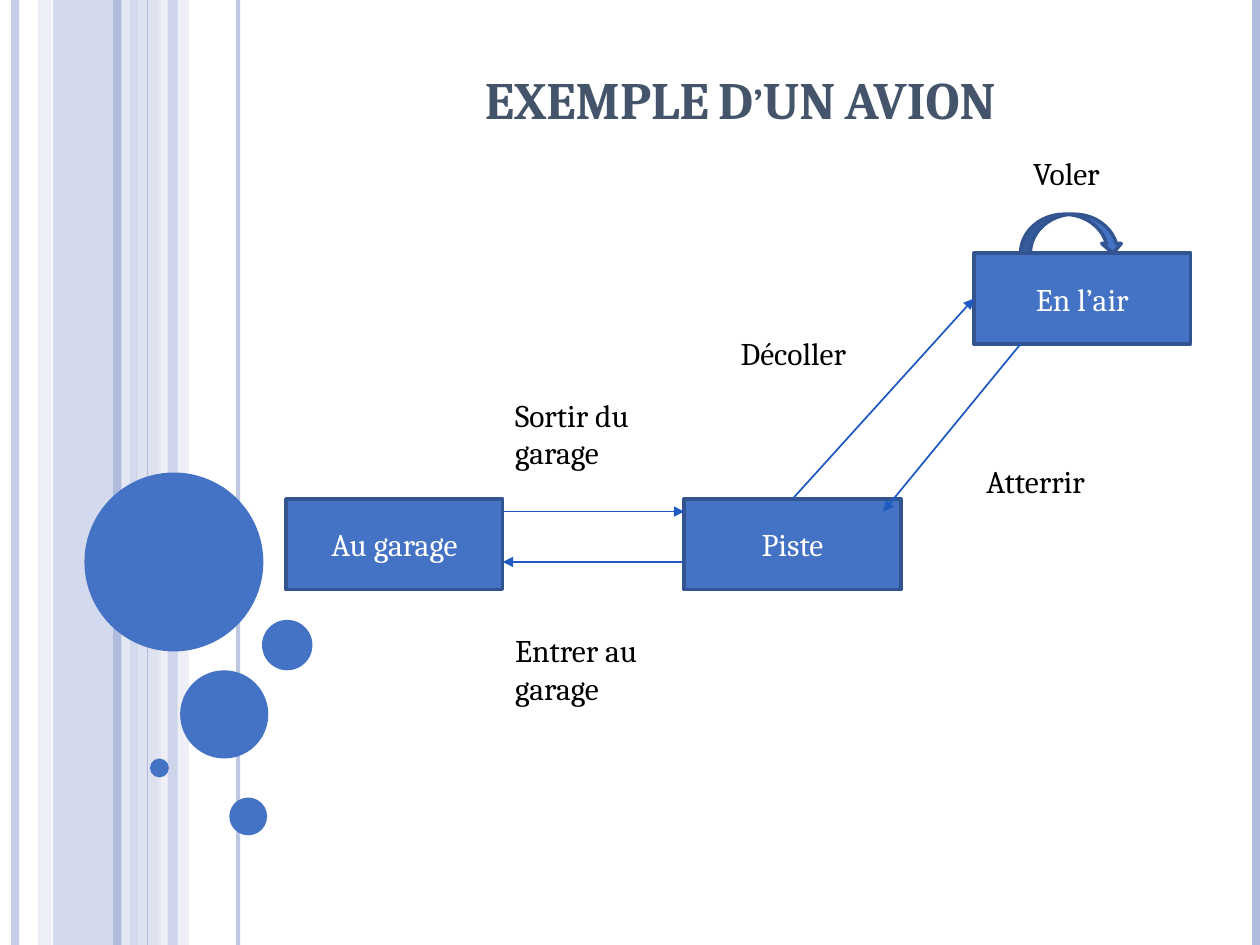
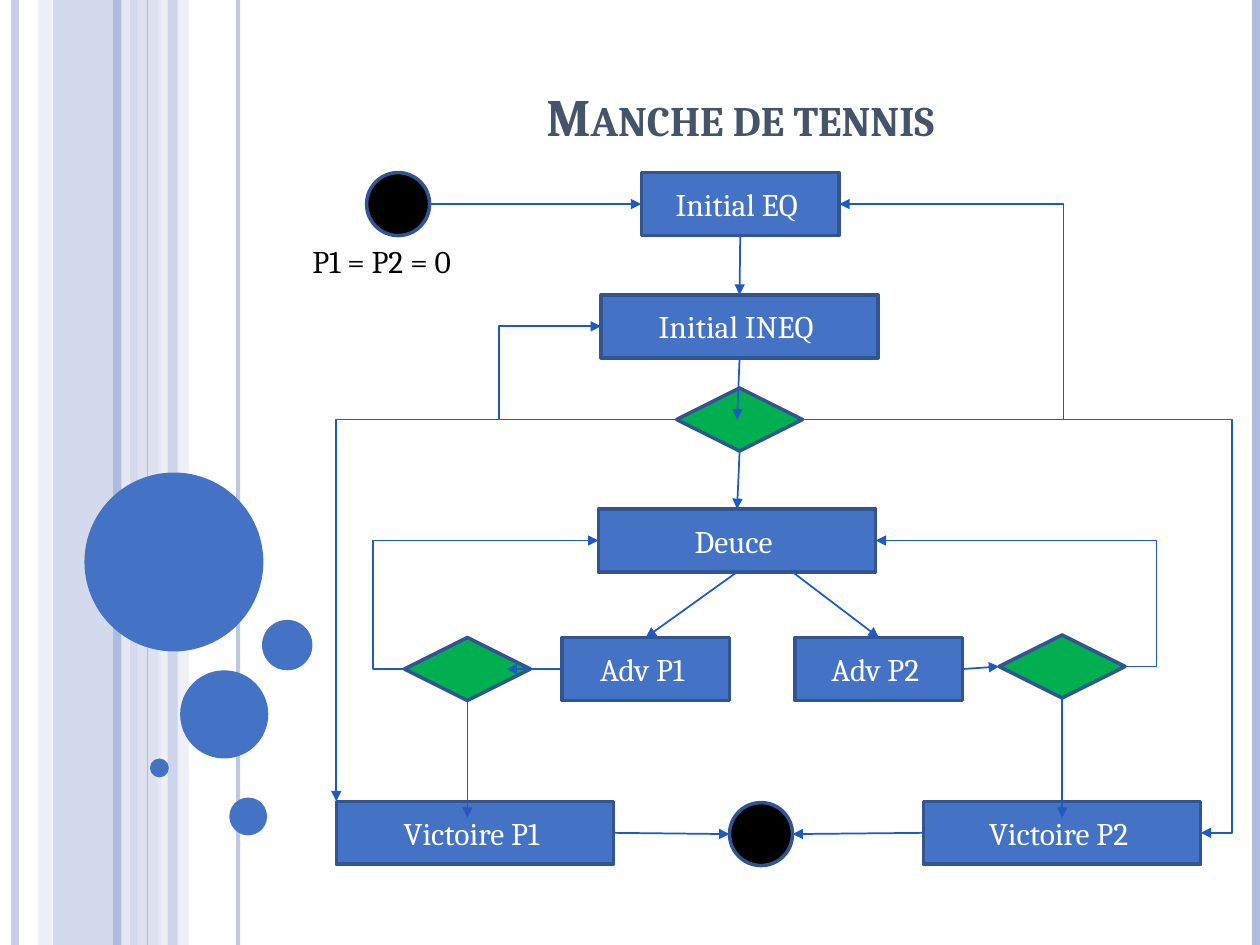
from lxml.etree import SubElement
from pptx import Presentation
from pptx.dml.color import RGBColor
from pptx.enum.shapes import MSO_CONNECTOR as Route, MSO_SHAPE as Kind
from pptx.enum.text import MSO_ANCHOR as Anchor, PP_ALIGN as Align
from pptx.oxml.ns import qn
from pptx.util import Inches, Pt

FONT = "Cambria"
BLUE, EDGE, ARROW = "4472C4", "325491", "1F5AC3"
GREEN, BLACK, WHITE, TITLE = "00B050", "000000", "FFFFFF", "44546A"
STRIPE, PALE, MIST = "B0BCDE", "CFD5EA", "E9EBF5"
TOP, LEFT, BOTTOM, RIGHT = range(4)
hex_color = RGBColor.from_string


def add_node(shapes, kind, box, fill=BLUE, edge=EDGE, label=""):
    node = shapes.add_shape(kind, *map(Inches, box))
    node.shadow.inherit = False
    node.fill.solid()
    node.fill.fore_color.rgb = hex_color(fill)
    if edge:
        node.line.color.rgb = hex_color(edge)
        node.line.width = Pt(2)
    else:
        node.line.fill.background()
    if label:
        node.text_frame.vertical_anchor = Anchor.MIDDLE
        paragraph = node.text_frame.paragraphs[0]
        paragraph.alignment = Align.CENTER
        run = paragraph.add_run()
        run.text = label
        run.font.name, run.font.size = FONT, Pt(18)
        run.font.color.rgb = hex_color(WHITE)
    return node


def add_link(shapes, start, end, bend=None, color=ARROW, width=1, head=True):
    """Join two ends, each a point (x, y) or a side (node, side); bend is the x of the elbow."""
    route = Route.STRAIGHT if bend is None else Route.ELBOW
    link = shapes.add_connector(route, 0, 0, 0, 0)
    if isinstance(start[0], (int, float)):
        link.begin_x, link.begin_y = map(Inches, start)
    else:
        link.begin_connect(*start)
    if isinstance(end[0], (int, float)):
        link.end_x, link.end_y = map(Inches, end)
    else:
        link.end_connect(*end)
    link.line.color.rgb = hex_color(color)
    link.line.width = Pt(width)
    properties = link._element.spPr
    if head:
        SubElement(properties.find(qn("a:ln")), qn("a:tailEnd"), type="triangle")
    SubElement(properties, qn("a:effectLst"))
    if bend is not None:
        geometry = properties.find(qn("a:prstGeom"))
        if Inches(bend) == link.end_x:
            geometry.set("prst", "bentConnector2")
        else:
            ratio = (Inches(bend) - link.begin_x) / (link.end_x - link.begin_x)
            SubElement(geometry.find(qn("a:avLst")), qn("a:gd"),
                       name="adj1", fmla=f"val {round(ratio * 100000)}")
    return link


deck = Presentation()
deck.slide_width, deck.slide_height = Inches(10), Inches(7.5)
title_only = deck.slide_layouts[5]

# Slides and titles
slides = []
for heading, top in [("EXEMPLE D’UN AVION", 0.22), ("Manche de tennis", 0.36)]:
    slide = deck.slides.add_slide(title_only)
    title = slide.shapes.title
    title.left, title.top, title.width, title.height = map(Inches, (2.5, top, 6.75, 0.86))
    title.text_frame.vertical_anchor = Anchor.BOTTOM
    paragraph = title.text_frame.paragraphs[0]
    paragraph.alignment = Align.CENTER
    run = paragraph.add_run()
    run.text = heading
    run.font.name, run.font.size, run.font.bold = FONT, Pt(30), True
    run.font.color.rgb = hex_color(TITLE)
    run._r.get_or_add_rPr().set("cap", "small")
    slides.append(slide)
plane, tennis = (slide.shapes for slide in slides)

# Shared decoration: bands, stripes and bubbles, with opacity in percent
decoration = []
for left, width, color, opacity in [
    (0.42, 0.67, STRIPE, 54), (0.3, 0.11, PALE, 36), (1.08, 0.2, PALE, 70),
    (1.25, 0.25, MIST, 71), (1.33, 0.08, STRIPE, 51),
]:
    band = add_node(plane, Kind.RECTANGLE, (left, 0, width, 7.5), color, None)
    decoration.append((band, opacity))
for x, width, color, opacity in [
    (0.12, 4.5, STRIPE, 73), (1, 4.5, MIST, 83), (0.93, 4.5, STRIPE, 100),
    (1.89, 2.25, STRIPE, 82), (1.17, 0.75, STRIPE, 100), (9.97, 4.5, STRIPE, 100),
]:
    stripe = add_link(plane, (x, 0), (x, 7.5), color=color, width=width, head=False)
    decoration.append((stripe, opacity))
for left, top, size in [
    (0.67, 3.75, 1.42), (1.43, 5.32, 0.7), (1.19, 6.02, 0.15),
    (1.82, 6.33, 0.3), (2.08, 4.92, 0.4),
]:
    bubble = add_node(plane, Kind.OVAL, (left, top, size, size), edge=None)
    decoration.append((bubble, 100))

# Move the decoration to the slide master, behind its placeholders
master_tree = deck.slide_master.shapes._spTree
for index, (part, opacity) in enumerate(decoration):
    element = part._element
    if opacity < 100:
        tint = element.spPr.find(".//" + qn("a:srgbClr"))
        SubElement(tint, qn("a:alpha"), val=str(opacity * 1000))
    element.find(".//" + qn("p:cNvPr")).set("id", str(100 + index))
    master_tree.insert(2 + index, element)

# Plane: states
garage, runway, airborne = [
    add_node(plane, Kind.RECTANGLE, (left, top, 1.72, 0.72), label=label)
    for left, top, label in [
        (2.27, 3.96, "Au garage"), (5.43, 3.96, "Piste"), (7.73, 2.01, "En l’air"),
    ]
]
add_node(plane, Kind.CURVED_DOWN_ARROW, (8.1, 1.7, 0.81, 0.31))

# Plane: transitions
for start, end in [
    ((3.99, 4.06), (5.43, 4.06)),
    ((5.43, 4.46), (3.99, 4.46)),
    ((runway, TOP), (airborne, LEFT)),
    ((8.1, 2.73), (7.01, 4.06)),
]:
    add_link(plane, start, end)

# Tennis: states
equal, unequal, deuce, adv1, adv2, win1, win2 = [
    add_node(tennis, Kind.RECTANGLE, (left, top, width, 0.5), label=label)
    for left, top, width, label in [
        (5.09, 1.37, 1.57, "Initial EQ "), (4.77, 2.34, 2.2, "Initial INEQ "),
        (4.75, 4.04, 2.2, "Deuce "),
        (4.46, 5.06, 1.33, "Adv P1 "), (6.31, 5.06, 1.33, "Adv P2 "),
        (2.67, 6.36, 2.2, "Victoire P1 "), (7.33, 6.36, 2.2, "Victoire P2 "),
    ]
]

# Tennis: start and end points, decisions
for left, top in [(2.91, 1.37), (5.79, 6.37)]:
    add_node(tennis, Kind.FLOWCHART_CONNECTOR, (left, top, 0.5, 0.5), BLACK)
score, check1, check2 = [
    add_node(tennis, Kind.FLOWCHART_DECISION, (left, top, 1, 0.5), GREEN)
    for left, top in [(5.37, 3.08), (3.21, 5.06), (7.93, 5.04)]
]

# Tennis: transitions, the last ones with the x of their elbow
for start, end, bend in [
    ((3.41, 1.62), (equal, LEFT), None),
    ((win1, RIGHT), (5.79, 6.62), None),
    ((win2, LEFT), (6.29, 6.62), None),
    ((equal, BOTTOM), (unequal, TOP), None),
    ((unequal, BOTTOM), (5.85, 3.33), None),
    ((score, BOTTOM), (deuce, TOP), None),
    ((deuce, BOTTOM), (adv1, TOP), None),
    ((6.29, 4.54), (adv2, TOP), None),
    ((adv1, LEFT), (4.02, 5.31), None),
    ((adv2, RIGHT), (check2, LEFT), None),
    ((check1, BOTTOM), (3.71, 6.49), None),
    ((check2, BOTTOM), (8.43, 6.49), None),
    ((score, LEFT), (2.67, 6.36), 2.67),
    ((score, RIGHT), (win2, RIGHT), 9.78),
    ((score, RIGHT), (equal, RIGHT), 8.44),
    ((score, LEFT), (unequal, LEFT), 3.96),
    ((check1, LEFT), (deuce, LEFT), 2.96),
    ((check2, RIGHT), (deuce, RIGHT), 9.18),
]:
    add_link(tennis, start, end, bend)

# Captions of both slides
for shapes, box, caption in [
    (plane, (3.99, 3.09, 1.44, 0.71), "Sortir du garage"),
    (plane, (3.99, 4.96, 1.72, 0.71), "Entrer au garage"),
    (plane, (5.78, 2.6, 1.25, 0.4), "Décoller"),
    (plane, (7.73, 3.62, 1.52, 0.4), "Atterrir"),
    (plane, (8.1, 1.17, 1.72, 0.4), "Voler"),
    (tennis, (2.38, 1.87, 2.08, 0.4), "P1 = P2 = 0"),
]:
    frame = shapes.add_textbox(*map(Inches, box)).text_frame
    frame.word_wrap = True
    run = frame.paragraphs[0].add_run()
    run.text = caption
    run.font.name, run.font.size = FONT, Pt(18)
    run.font.color.rgb = hex_color(BLACK)

deck.save("out.pptx")
